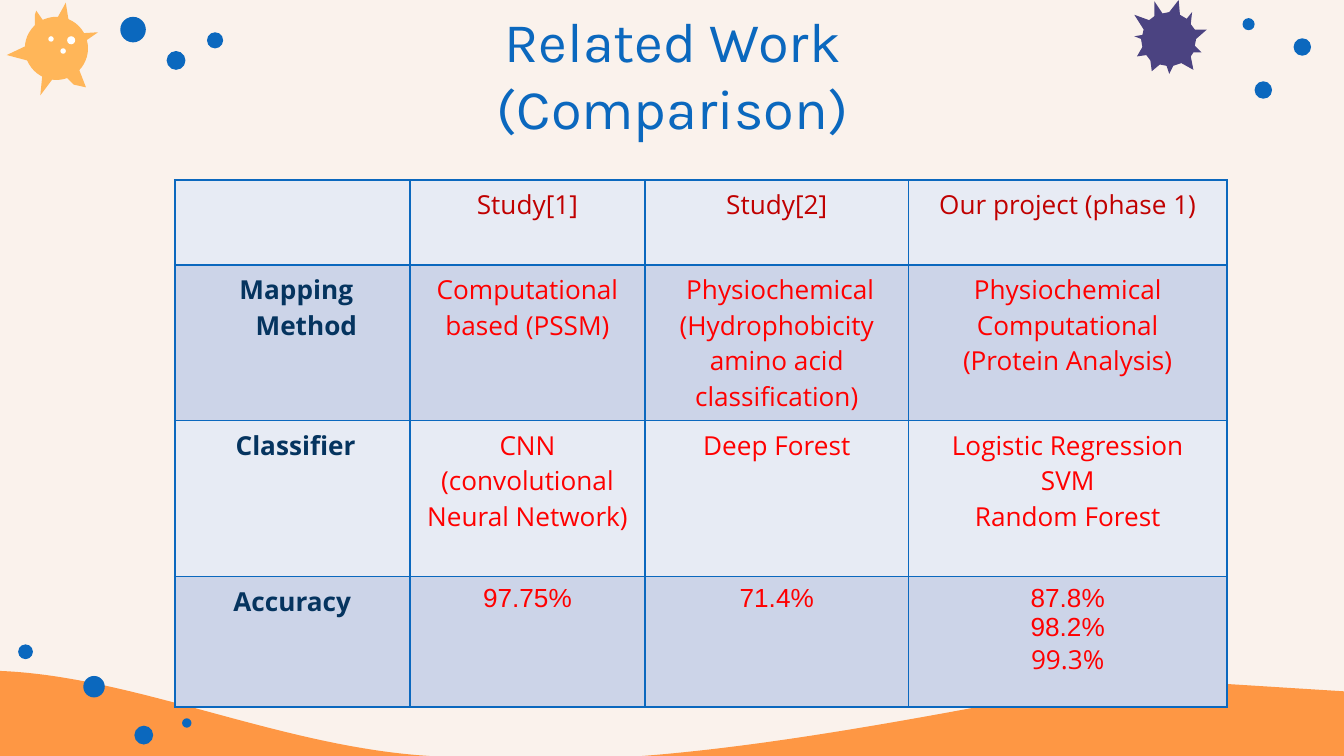
"""Build the related-work comparison slide with its table and virus decorations."""
from dataclasses import dataclass

from pptx import Presentation
from pptx.dml.color import RGBColor
from pptx.enum.shapes import MSO_SHAPE
from pptx.enum.text import MSO_ANCHOR, PP_ALIGN
from pptx.oxml import parse_xml
from pptx.oxml.ns import nsdecls
from pptx.oxml.xmlchemy import OxmlElement
from pptx.util import Pt

PX = 9144
OVAL = MSO_SHAPE.OVAL
CENTER = PP_ALIGN.CENTER
MIDDLE = MSO_ANCHOR.MIDDLE


@dataclass(frozen=True)
class Theme:
    """Colours, fonts and type sizes of the slide."""
    cream: str = "FAF2EC"
    blue: str = "0B68BE"
    orange: str = "FE9744"
    apricot: str = "FFB659"
    purple: str = "4B4381"
    white: str = "FFFFFF"
    navy: str = "05345F"
    crimson: str = "C00000"
    red: str = "FF0000"
    bands: tuple = ("E7EBF4", "CCD4E8")
    title_font: str = "Karla"
    body_font: str = "Open Sans"
    figure_font: str = "Arial"
    title_size: int = 30
    body_size: int = 14


@dataclass(frozen=True)
class Line:
    """One paragraph of a table cell."""
    text: str
    font: str = Theme.body_font
    indent: int = 0


THEME = Theme()
FIGURE = THEME.figure_font
COLUMN_WIDTHS = (175, 175, 196, 237)
ROW_HEIGHTS = (63, 116, 116, 97)
COMPARISON = (
    ((), (Line("Study[1]"),), (Line("Study[2]"),), (Line("Our project (phase 1)"),)),
    (
        (Line("Mapping", indent=6), Line("Method", indent=21)),
        (Line("Computational based (PSSM)"),),
        (Line(" Physiochemical\n(Hydrophobicity amino acid classification)"),),
        (Line("Physiochemical Computational"), Line("(Protein Analysis)")),
    ),
    (
        (Line("Classifier", indent=5),),
        (Line("CNN (convolutional Neural Network)"),),
        (Line("Deep Forest"),),
        (Line("Logistic Regression"), Line("SVM\nRandom Forest")),
    ),
    (
        (Line("Accuracy"),),
        (Line("97.75%", FIGURE),),
        (Line("71.4%", FIGURE),),
        (Line("87.8%", FIGURE), Line("98.2%", FIGURE), Line("99.3%")),
    ),
)
BLUE_DOTS = (
    (19, 485, 11), (107, 547, 14), (70, 511, 16), (139, 538, 7),
    (929, 18, 9), (940, 67, 13), (969, 35, 13),
    (160, 30, 12), (99, 22, 19), (131, 45, 14),
)
SUN_BODY = (42, 36, 47)
SUN_SPOTS = ((53, 30, 6), (38, 29, 4), (47, 38, 4))
SUN_SPIKES = (
    ((49, 2), (52, 21), (39, 20)),
    ((32, 51), (42, 55), (30, 71)),
    ((56, 25), (73, 24), (60, 33)),
    ((57, 47), (64, 65), (55, 63), (47, 55)),
    ((27, 8), (34, 18), (27, 21), (26, 21), (26, 11)),
    ((24, 32), (24, 46), (5, 41)),
)
PURPLE_VIRUS = (
    (877, 0), (870, 9), (865, 10), (859, 1), (859, 12), (855, 15),
    (844, 11), (851, 22), (850, 26), (844, 27), (849, 29), (850, 35),
    (846, 42), (853, 41), (856, 45), (857, 53), (863, 48), (868, 49),
    (870, 55), (873, 49), (879, 47), (888, 52), (886, 42), (888, 39),
    (894, 39), (889, 34), (890, 29), (898, 22), (889, 22), (886, 18),
    (887, 9), (883, 14), (878, 11),
)
WAVE_CURVES = 4
WAVE = (
    (-12, 499),
    (90, 499), (199, 553), (312, 562),
    (339, 564), (366, 566), (394, 566),
    (489, 566), (588, 552), (728, 526),
    (796, 513), (860, 509), (913, 509),
    (1041, 517), (1041, 572), (-17, 572), (-17, 499),
)


def px(length):
    """Turn px into EMU."""
    return int(length * PX)


def paint(shape, color):
    """Give a shape a flat fill without line or shadow."""
    shape.shadow.inherit = False
    shape.fill.solid()
    shape.fill.fore_color.rgb = RGBColor.from_string(color)
    shape.line.fill.background()


def add_dot(slide, dot, color):
    """Draw a circle given by its centre and diameter."""
    x, y, size = dot
    circle = slide.shapes.add_shape(
        OVAL, px(x - size / 2), px(y - size / 2), px(size), px(size))
    paint(circle, color)


def add_outline(slide, points, color, curves=0):
    """Draw a closed outline whose first segments may be cubic curves."""
    builder = slide.shapes.build_freeform(*points[0], scale=PX)
    builder.add_line_segments(points[1:], close=True)
    outline = builder.convert_to_shape()
    segments = outline.element.xpath(".//a:lnTo")
    for start in range(0, curves * 3, 3):
        curve = OxmlElement("a:cubicBezTo")
        segments[start].addprevious(curve)
        for segment in segments[start:start + 3]:
            curve.append(segment[0])
            segment.getparent().remove(segment)
    paint(outline, color)


def write(paragraph, text, font, size, color, bold=False):
    """Write centred text run by run, with a break between its lines."""
    paragraph.alignment = CENTER
    for index, part in enumerate(text.split("\n")):
        if index:
            paragraph.add_line_break()
        run = paragraph.add_run()
        run.text = part
        run.font.name = font
        run.font.size = Pt(size)
        run.font.bold = bold
        run.font.color.rgb = RGBColor.from_string(color)


def add_title(slide, text):
    """Place the slide title."""
    frame = slide.shapes.add_textbox(px(79), px(27), px(843), px(55)).text_frame
    frame.word_wrap = True
    frame.vertical_anchor = MIDDLE
    frame.margin_top = frame.margin_bottom = px(10)
    write(frame.paragraphs[0], text, THEME.title_font, THEME.title_size, THEME.blue)


def frame_cell(cell, color):
    """Put a thin border on all four sides of a cell."""
    properties = cell._tc.get_or_add_tcPr()
    for index, side in enumerate(("lnL", "lnR", "lnT", "lnB")):
        properties.insert(index, parse_xml(
            f'<a:{side} {nsdecls("a")} w="{Pt(1)}"><a:solidFill>'
            f'<a:srgbClr val="{color}"/></a:solidFill></a:{side}>'))


def fill_cell(cell, lines, band, color, bold):
    """Colour a cell and write its paragraphs."""
    cell.fill.solid()
    cell.fill.fore_color.rgb = RGBColor.from_string(band)
    frame_cell(cell, THEME.blue)
    for index, line in enumerate(lines):
        frame = cell.text_frame
        paragraph = frame.add_paragraph() if index else frame.paragraphs[0]
        write(paragraph, line.text, line.font, THEME.body_size, color, bold)
        if line.indent:
            paragraph._p.get_or_add_pPr().set("marL", str(px(line.indent)))


def add_comparison(slide):
    """Build the comparison table."""
    table = slide.shapes.add_table(
        len(ROW_HEIGHTS), len(COLUMN_WIDTHS), px(130), px(134),
        px(sum(COLUMN_WIDTHS)), px(sum(ROW_HEIGHTS))).table
    table.first_row = table.horz_banding = False
    for column, width in zip(table.columns, COLUMN_WIDTHS):
        column.width = px(width)
    for r, (row, height) in enumerate(zip(COMPARISON, ROW_HEIGHTS)):
        table.rows[r].height = px(height)
        for c, lines in enumerate(row):
            color = THEME.crimson if r == 0 else THEME.red if c else THEME.navy
            fill_cell(table.cell(r, c), lines, THEME.bands[r % 2], color, c == 0)


def main():
    """Assemble and save the slide."""
    deck = Presentation()
    deck.slide_width = px(1000)
    deck.slide_height = deck.slide_width * 9 // 16
    slide = deck.slides.add_slide(deck.slide_layouts[6])
    slide.background.fill.solid()
    slide.background.fill.fore_color.rgb = RGBColor.from_string(THEME.cream)
    add_outline(slide, WAVE, THEME.orange, WAVE_CURVES)
    add_outline(slide, PURPLE_VIRUS, THEME.purple)
    add_dot(slide, SUN_BODY, THEME.apricot)
    for spike in SUN_SPIKES:
        add_outline(slide, spike, THEME.apricot)
    for dots, color in ((SUN_SPOTS, THEME.white), (BLUE_DOTS, THEME.blue)):
        for dot in dots:
            add_dot(slide, dot, color)
    add_title(slide, "Related Work\n(Comparison)")
    add_comparison(slide)
    deck.save("out.pptx")


if __name__ == "__main__":
    main()
